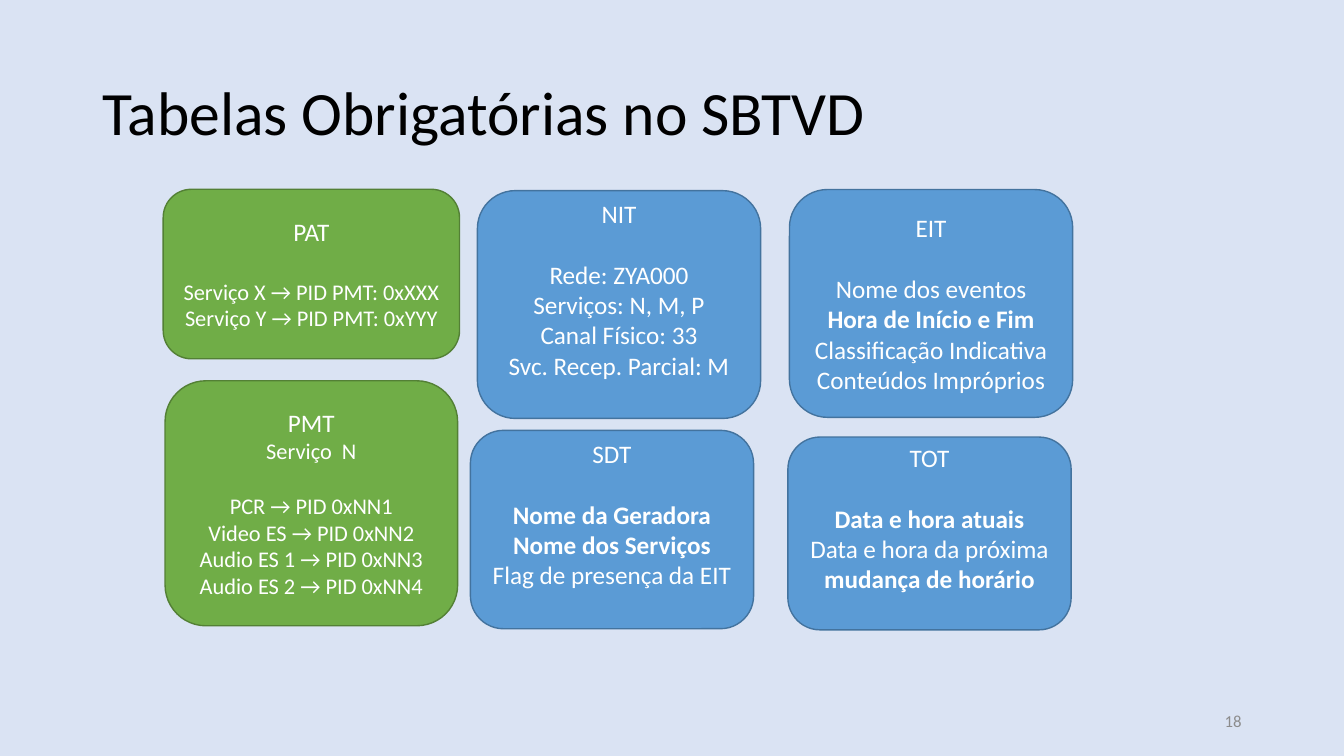
import pptx
import pptx.util
import pptx.dml.color
import pptx.enum.shapes
import pptx.enum.text
from dataclasses import dataclass

Pt = pptx.util.Pt
Align = pptx.enum.text.PP_ALIGN
Anchor = pptx.enum.text.MSO_ANCHOR


@dataclass(frozen=True)
class Theme:
    font: str = "Calibri"
    back: str = "DAE3F3"
    ink: str = "000000"
    light: str = "FFFFFF"
    grey: str = "8C8C8C"
    green: tuple = ("70AD47", "538035")
    blue: tuple = ("5B9BD5", "43739E")
    title: int = 44
    head: int = 18
    small: int = 16
    note: int = 12
    lead: float = 1.22


THEME = Theme()

# box (left, top, width, height), head, sub-head, lines, has space below
# Text between asterisks is bold.
GREEN = [
    ((116.6, 135.2, 211.7, 121.1), "PAT", "",
     ["Serviço X → PID PMT: 0xXXX", "Serviço Y → PID PMT: 0xYYY"], False),
    ((117.9, 272, 209, 175), "PMT", "Serviço  N",
     ["PCR → PID 0xNN1", "Video ES → PID 0xNN2",
      "Audio ES 1 → PID 0xNN3", "Audio ES 2 → PID 0xNN4"], False),
]
BLUE = [
    ((336, 307.4, 202.3, 141.7), "SDT", "",
     ["*Nome da Geradora*", "*Nome dos Serviços*",
      "Flag de presença da EIT"], True),
    ((341, 136.2, 202.3, 162.7), "NIT", "",
     ["Rede: ZYA000", "Serviços: N, M, P", "Canal Físico: 33",
      "Svc. Recep. Parcial: M"], True),
    ((563.9, 135.4, 202.3, 162.7), "EIT", "",
     ["Nome dos eventos", "*Hora de Início e Fim*",
      "Classificação Indicativa", "Conteúdos Impróprios"], False),
    ((562.8, 312.2, 202.3, 137.7), "TOT", "",
     ["*Data e hora atuais*",
      "Data e hora da próxima *mudança de horário*"], True),
]


def tint(code):
    return pptx.dml.color.RGBColor.from_string(code)


def write(para, text, size, color, align=Align.CENTER, gap=0, lead=None):
    """Fill a paragraph; text between asterisks becomes bold."""
    para.alignment = align
    para.space_before = Pt(gap)
    para.line_spacing = lead
    for i, part in enumerate(text.split("*")):
        if part:
            run = para.add_run()
            run.text = part
            run.font.name = THEME.font
            run.font.size = Pt(size)
            run.font.bold = i % 2 == 1
            run.font.color.rgb = tint(color)


def place(shape, box):
    shape.left, shape.top, shape.width, shape.height = map(Pt, box)


def prepare(shape, anchor):
    frame = shape.text_frame
    frame.word_wrap = True
    frame.auto_size = pptx.enum.text.MSO_AUTO_SIZE.NONE
    frame.vertical_anchor = anchor
    frame.margin_left = frame.margin_right = Pt(7.2)
    frame.margin_top = frame.margin_bottom = Pt(3.6)
    return frame


def add_title(slide, box, text):
    shape = slide.shapes.title
    place(shape, box)
    frame = prepare(shape, Anchor.BOTTOM)
    write(frame.paragraphs[0], text, THEME.title, THEME.ink,
          align=Align.LEFT, lead=0.9)


def add_card(slide, box, head, sub, lines, below, paint, size):
    card = slide.shapes.add_shape(
        pptx.enum.shapes.MSO_SHAPE.ROUNDED_RECTANGLE, *map(Pt, box))
    card.shadow.inherit = False
    card.fill.solid()
    card.fill.fore_color.rgb = tint(paint[0])
    card.line.color.rgb = tint(paint[1])
    card.line.width = Pt(1)

    frame = prepare(card, Anchor.MIDDLE)
    if below:
        frame.margin_bottom = Pt(3.6 + THEME.head * THEME.lead)
    write(frame.paragraphs[0], head, THEME.head, THEME.light)
    if sub:
        write(frame.add_paragraph(), sub, size, THEME.light)
    gap = (size if sub else THEME.head) * THEME.lead
    for i, line in enumerate(lines):
        write(frame.add_paragraph(), line, size, THEME.light,
              gap=0 if i else gap)


def add_number(slide, box, text):
    shape = slide.shapes.add_textbox(*map(Pt, box))
    frame = prepare(shape, Anchor.MIDDLE)
    write(frame.paragraphs[0], text, THEME.note, THEME.grey,
          align=Align.RIGHT)


def main():
    deck = pptx.Presentation()
    deck.slide_width, deck.slide_height = Pt(960), Pt(540)
    slide = deck.slides.add_slide(deck.slide_layouts.get_by_name("Title Only"))
    slide.background.fill.solid()
    slide.background.fill.fore_color.rgb = tint(THEME.back)

    add_title(slide, (66, 28.8, 702, 81.4), "Tabelas Obrigatórias no SBTVD")
    for card in GREEN:
        add_card(slide, *card, paint=THEME.green, size=THEME.small)
    for card in BLUE:
        add_card(slide, *card, paint=THEME.blue, size=THEME.head)
    add_number(slide, (678, 500.5, 216, 28.8), "18")
    deck.save("out.pptx")


if __name__ == "__main__":
    main()
